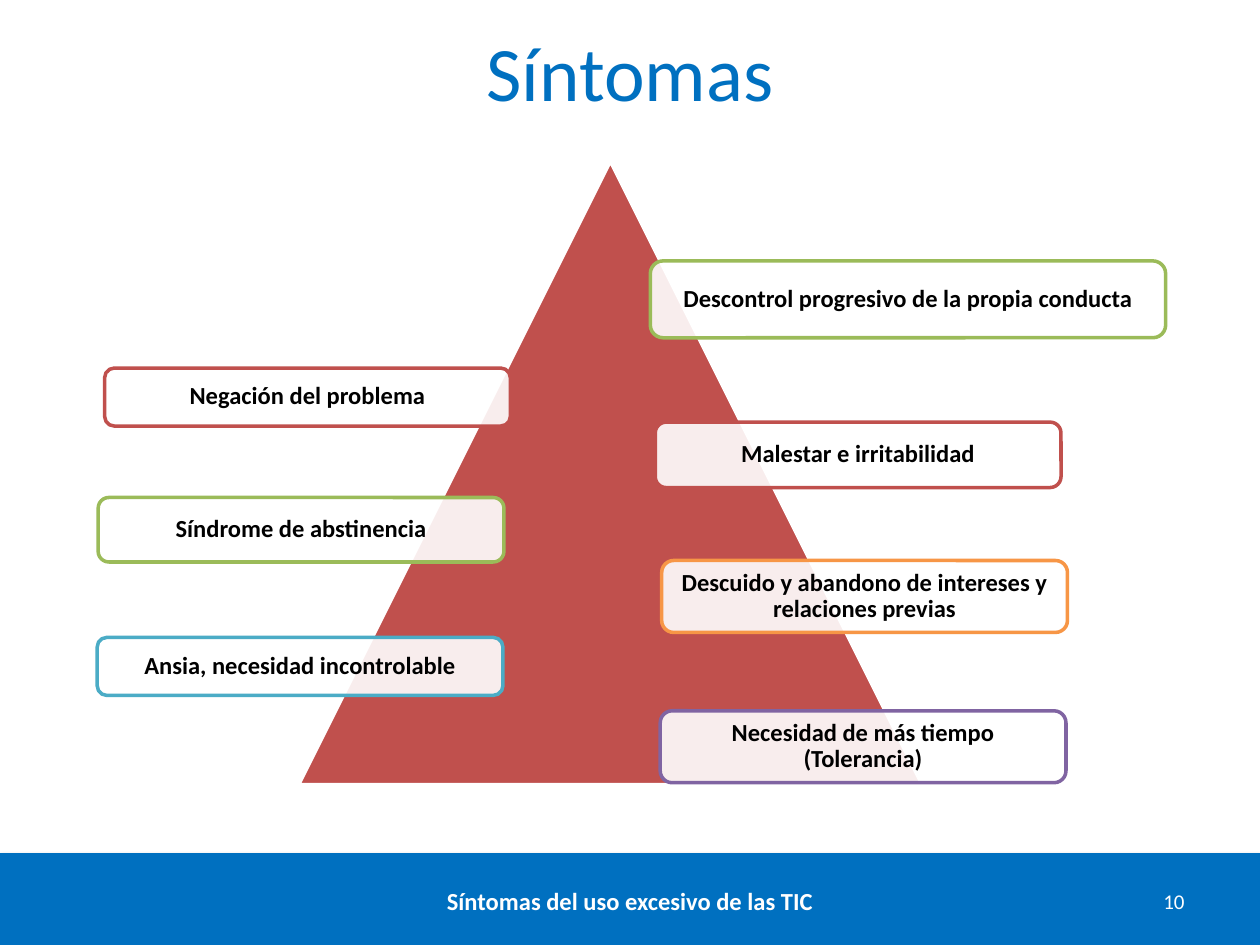
from lxml import etree
from pptx import Presentation
from pptx.dml.color import RGBColor
from pptx.enum.shapes import MSO_SHAPE
from pptx.enum.text import MSO_ANCHOR, PP_ALIGN
from pptx.oxml.ns import qn
from pptx.util import Cm, Pt

RECTANGLE = MSO_SHAPE.RECTANGLE
ROUNDED = MSO_SHAPE.ROUNDED_RECTANGLE
TRIANGLE = MSO_SHAPE.ISOSCELES_TRIANGLE
TOP, MIDDLE = MSO_ANCHOR.TOP, MSO_ANCHOR.MIDDLE
CENTER, RIGHT = PP_ALIGN.CENTER, PP_ALIGN.RIGHT

BLUE, RED, GREEN, WHITE, BLACK = "0070C0", "C0504D", "9BBB59", "FFFFFF", "000000"
PURPLE, AQUA, ORANGE = "8064A2", "4BACC6", "F79646"
LABEL_WIDTH = 8.18
SYMPTOMS = [
    ("Negación del problema", RED, 0.15, 4.17, LABEL_WIDTH, 1.17),
    ("Síndrome de abstinencia", GREEN, 0.02, 6.78, LABEL_WIDTH, 1.3),
    ("Necesidad de más tiempo (Tolerancia)", PURPLE, 11.35, 11.08, LABEL_WIDTH, 1.45),
    ("Ansia, necesidad incontrolable", AQUA, 0, 9.6, LABEL_WIDTH, 1.17),
    ("Descuido y abandono de intereses y relaciones previas", ORANGE,
     11.38, 8.05, LABEL_WIDTH, 1.45),
    ("Malestar e irritabilidad", RED, 11.25, 5.26, LABEL_WIDTH, 1.32),
    ("Descontrol progresivo de la propia conducta", GREEN, 11.15, 2.01, 10.39, 1.55),
]


def color(value):
    """Turn a hex string into a colour."""
    return RGBColor.from_string(value)


def set_attributes(target, values):
    """Set every attribute named in a dict."""
    for name, value in values.items():
        setattr(target, name, value)


def write_text(shape, text, size, text_color, bold=False, align=CENTER, anchor=MIDDLE,
               spacing=None, inset=None):
    """Write one formatted paragraph into a shape."""
    frame = shape.text_frame
    set_attributes(frame, {"word_wrap": True, "vertical_anchor": anchor})
    if inset is not None:
        sides = ("left", "top", "right", "bottom")
        set_attributes(frame, {f"margin_{side}": Cm(inset) for side in sides})
    paragraph = frame.paragraphs[0]
    set_attributes(paragraph, {"alignment": align, "line_spacing": spacing})
    run = paragraph.add_run()
    run.text = text
    set_attributes(run.font, {"name": "Calibri", "size": Pt(size), "bold": bold})
    run.font.color.rgb = color(text_color)


def add_box(slide, kind, left, top, width, height, fill, line=None):
    """Add a filled preset shape with an optional outline."""
    shape = slide.shapes.add_shape(kind, Cm(left), Cm(top), Cm(width), Cm(height))
    shape.shadow.inherit = False
    shape.fill.solid()
    shape.fill.fore_color.rgb = color(fill)
    if line:
        shape.line.color.rgb = color(line)
        shape.line.width = Pt(2)
    else:
        shape.line.fill.background()
    return shape


def set_opacity(parent, percent):
    """Give the RGB colour inside an element an opacity."""
    rgb = next(parent.iter(qn("a:srgbClr")))
    etree.SubElement(rgb, qn("a:alpha"), val=str(percent * 1000))


def add_shadow(shape, blur, distance, opacity):
    """Give a shape a black shadow that falls straight down."""
    effects = shape.element.spPr.find(qn("a:effectLst"))
    shadow = etree.SubElement(effects, qn("a:outerShdw"), blurRad=str(Pt(blur)),
                              dist=str(Pt(distance)), dir="5400000", rotWithShape="0")
    etree.SubElement(shadow, qn("a:srgbClr"), val=BLACK)
    set_opacity(shadow, opacity)


def add_title(slide, left, top, width, height):
    """Place and format the title placeholder."""
    title = slide.shapes.title
    set_attributes(title, {"left": Cm(left), "top": Cm(top),
                           "width": Cm(width), "height": Cm(height)})
    write_text(title, "Síntomas", 44, BLUE, anchor=TOP)


def add_footer(slide, left, top, width, height):
    """Draw the footer band with its caption and page number."""
    band = add_box(slide, RECTANGLE, left, top, width, height, BLUE)
    add_shadow(band, 3.1, 1.8, 35)
    texts = [
        ("10", 12, False, RIGHT, 21.11, 3.02),
        ("Síntomas del uso excesivo de las TIC", 14, True, CENTER, 4.9, 15.6),
    ]
    for text, size, bold, align, offset, text_width in texts:
        box = slide.shapes.add_textbox(Cm(left + offset), Cm(top + 0.45),
                                       Cm(text_width), Cm(1.02))
        write_text(box, text, size, WHITE, bold, align)


def add_symptom_pyramid(slide, left, top, size):
    """Draw the triangle and the symptom labels around it."""
    add_box(slide, TRIANGLE, left + 4.06, top, size, size, RED, WHITE)
    for text, line, x, y, width, height in SYMPTOMS:
        label = add_box(slide, ROUNDED, left + x, top + y, width, height, WHITE, line)
        set_opacity(label.element.spPr.find(qn("a:solidFill")), 90)
        write_text(label, text, 14, BLACK, True, spacing=0.9, inset=0.16)


def main():
    """Build and save the presentation."""
    presentation = Presentation()
    set_attributes(presentation, {"slide_width": Cm(25.4), "slide_height": Cm(19.05)})
    slide = presentation.slides.add_slide(presentation.slide_layouts[5])
    add_footer(slide, 0, 17.2, 25.4, 1.93)
    add_title(slide, 1.27, 0.36, 22.86, 3.18)
    add_symptom_pyramid(slide, 1.96, 3.25, 12.57)
    presentation.save("out.pptx")


if __name__ == "__main__":
    main()
